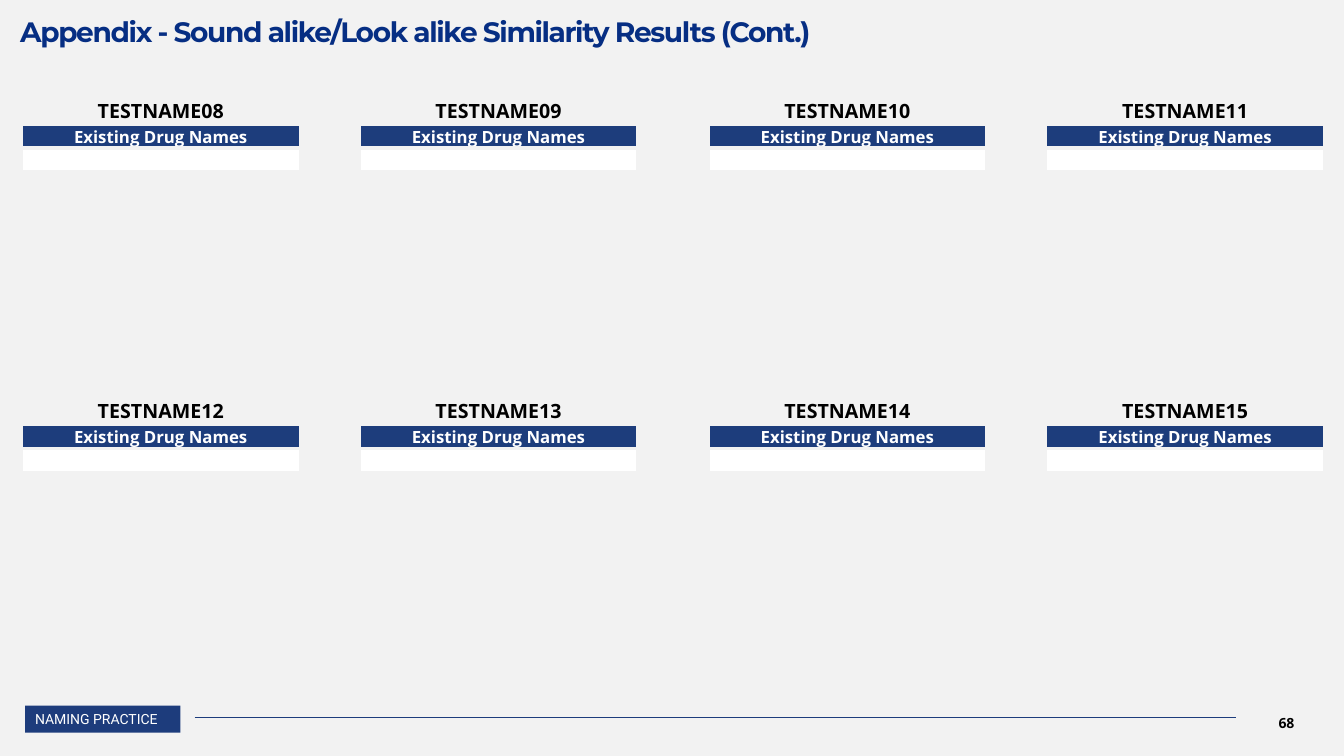
from lxml import etree
from pptx import Presentation
from pptx.dml.color import RGBColor
from pptx.enum import shapes, text
from pptx.oxml import ns
from pptx.util import Inches, Pt

BRAND_BLUE = "1D3C7C"
BACKGROUND = "F2F2F2"
COLUMN_LEFTS = (0.21, 3.56, 7.02, 10.37)
ROW_TOPS = (0.95, 3.93)
TABLE_WIDTH = 2.77
ROW_HEIGHTS = (0.28, 0.24, 0.24)
FIRST_TEST_NUMBER = 8

TITLE = {"name": "Montserrat", "size": Pt(20), "bold": True, "color": "062E83"}
TEST_NAME = {"name": "Open Sans", "size": Pt(14), "bold": True, "color": "000000"}
HEADER = {"name": "Open Sans", "size": Pt(12), "bold": True, "color": "FFFFFF"}
FOOTER = {"name": "Roboto", "size": Pt(10), "bold": False, "color": "FFFFFF"}
PAGE_NUMBER = {"name": "Open Sans", "size": Pt(10), "bold": True, "color": "000000"}


def color(value):
    """Turn a hex string into a colour."""
    return RGBColor.from_string(value)


def fill_solid(fill, value):
    """Give a fill one plain colour."""
    fill.solid()
    fill.fore_color.rgb = color(value)


def set_attributes(target, values):
    """Set every attribute named in a dict."""
    for name, value in values.items():
        setattr(target, name, value)


def write(paragraph, content, style, alignment=text.PP_ALIGN.LEFT):
    """Write one styled run and return it."""
    paragraph.alignment = alignment
    run = paragraph.add_run()
    run.text = content
    for name, value in style.items():
        if name == "color":
            run.font.color.rgb = color(value)
        else:
            setattr(run.font, name, value)
    return run


def add_text_box(slide, box, frame_format):
    """Add an empty wrapping text box and return its text frame."""
    frame = slide.shapes.add_textbox(*map(Inches, box)).text_frame
    set_attributes(frame, {"word_wrap": True, **frame_format})
    return frame


def add_title(slide, content):
    """Add the tightly spaced slide title."""
    frame = add_text_box(slide, (0.2, 0, 12.82, 0.48), {
        "margin_left": 0, "margin_top": Inches(0.21),
        "margin_right": 0, "margin_bottom": 0})
    paragraph = frame.paragraphs[0]
    paragraph.line_spacing = 0.8
    run = write(paragraph, content, TITLE)
    run.font._element.set("spc", "-100")


def add_footer(slide, label, number):
    """Add the footer label, rule and page number."""
    shape = slide.shapes.add_shape(
        shapes.MSO_SHAPE.RECTANGLE, *map(Inches, (0.25, 7, 1.54, 0.27)))
    shape.shadow.inherit = False
    fill_solid(shape.fill, BRAND_BLUE)
    shape.line.fill.background()
    write(shape.text_frame.paragraphs[0], label, FOOTER)

    rule = slide.shapes.add_connector(
        shapes.MSO_CONNECTOR.STRAIGHT, *map(Inches, (1.93, 7.12, 12.26, 7.12)))
    rule.line.color.rgb = color(BRAND_BLUE)
    rule.line.width = Pt(0.5)
    etree.SubElement(rule._element.spPr, ns.qn("a:effectLst"))

    frame = add_text_box(slide, (12.21, 6.97, 1.1, 0.4),
                         {"vertical_anchor": text.MSO_ANCHOR.MIDDLE})
    write(frame.paragraphs[0], number, PAGE_NUMBER, text.PP_ALIGN.CENTER)


def add_borders(cell):
    """Draw all four cell borders in the background colour."""
    properties = cell._tc.get_or_add_tcPr()
    for index, side in enumerate(("lnL", "lnR", "lnT", "lnB")):
        line = etree.Element(ns.qn(f"a:{side}"), w=str(Pt(3)))
        solid = etree.SubElement(line, ns.qn("a:solidFill"))
        etree.SubElement(solid, ns.qn("a:srgbClr"), val=BACKGROUND)
        properties.insert(index, line)


def add_name_table(slide, left, top, name):
    """Add one test name with its header and empty result row."""
    height = sum(ROW_HEIGHTS)
    table = slide.shapes.add_table(
        len(ROW_HEIGHTS), 1, *map(Inches, (left, top, TABLE_WIDTH, height))).table
    set_attributes(table, {"first_row": False, "horz_banding": False})
    rows = ((name, TEST_NAME, None),
            ("Existing Drug Names", HEADER, "1D3D7C"),
            ("", HEADER, "FFFFFF"))
    for index, (content, style, fill) in enumerate(rows):
        table.rows[index].height = Inches(ROW_HEIGHTS[index])
        cell = table.cell(index, 0)
        set_attributes(cell, {
            "margin_left": Inches(0.01), "margin_right": Inches(0.01),
            "margin_top": Inches(0.01), "margin_bottom": 0,
            "vertical_anchor": text.MSO_ANCHOR.MIDDLE})
        if fill:
            fill_solid(cell.fill, fill)
        else:
            cell.fill.background()
        add_borders(cell)
        paragraph = cell.text_frame.paragraphs[0]
        if content:
            write(paragraph, content, style, text.PP_ALIGN.CENTER)
        else:
            etree.SubElement(paragraph._p, ns.qn("a:endParaRPr"), sz="1200")


def main():
    """Build and save the slide."""
    presentation = Presentation()
    presentation.slide_width = Inches(13.33)
    presentation.slide_height = Inches(7.5)
    slide = presentation.slides.add_slide(presentation.slide_layouts[6])
    fill_solid(slide.background.fill, BACKGROUND)
    add_footer(slide, "NAMING PRACTICE", "68")
    add_title(slide, "Appendix - Sound alike/Look alike Similarity Results (Cont.)")
    positions = [(left, top) for top in ROW_TOPS for left in COLUMN_LEFTS]
    for number, (left, top) in enumerate(positions, FIRST_TEST_NUMBER):
        add_name_table(slide, left, top, f"TESTNAME{number:02d}")
    presentation.save("out.pptx")


if __name__ == "__main__":
    main()
